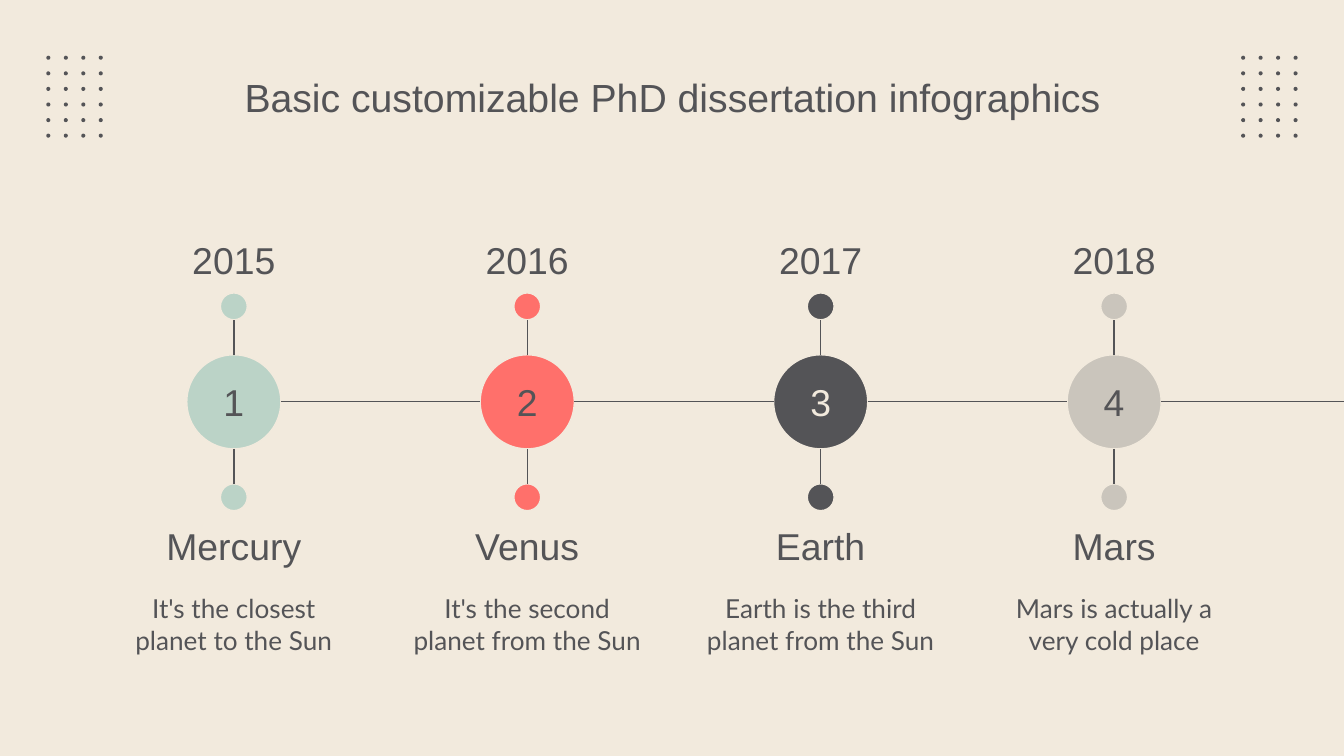
from lxml import etree
from pptx import Presentation
from pptx.dml.color import RGBColor
from pptx.enum import shapes, text
from pptx.oxml import ns
from pptx.util import Inches, Pt

COLORS = {"sand": "F2EADD", "ink": "545457", "mint": "BBD3C7",
          "coral": "FF706B", "stone": "CAC5BC"}
RGB = {name: RGBColor.from_string(code) for name, code in COLORS.items()}

STEPS = [
    ("2015", "Mercury", "It's the closest planet to the Sun", "mint", "ink"),
    ("2016", "Venus", "It's the second planet from the Sun", "coral", "ink"),
    ("2017", "Earth", "Earth is the third planet from the Sun", "ink", "sand"),
    ("2018", "Mars", "Mars is actually a very cold place", "stone", "ink"),
]


def write(shape, words, size, font="Arial", color="ink", anchor="MIDDLE"):
    frame = shape.text_frame
    frame.word_wrap = True
    frame.vertical_anchor = getattr(text.MSO_ANCHOR, anchor)
    frame.margin_left = frame.margin_right = Inches(0.1)
    frame.margin_top = frame.margin_bottom = Inches(0.1)
    para = frame.paragraphs[0]
    para.alignment = text.PP_ALIGN.CENTER
    run = para.add_run()
    run.text = words
    run.font.size = Pt(size)
    run.font.name = font
    run.font.color.rgb = RGB[color]


def disc(parent, x, y, size, color, edge=None):
    """Add a circle of the given diameter, centred on x, y."""
    dot = parent.add_shape(shapes.MSO_SHAPE.OVAL, Inches(x - size / 2),
                           Inches(y - size / 2), Inches(size), Inches(size))
    dot.shadow.inherit = False
    dot.fill.solid()
    dot.fill.fore_color.rgb = RGB[color]
    if edge:
        dot.line.color.rgb = RGB[edge]
        dot.line.width = Pt(0.75)
    else:
        dot.line.fill.background()
    return dot


deck = Presentation()
deck.slide_width = Inches(10)
deck.slide_height = Inches(10 * 9 / 16)
slide = deck.slides.add_slide(deck.slide_layouts[5])
slide.background.fill.solid()
slide.background.fill.fore_color.rgb = RGB["sand"]

# Title
title = slide.shapes.title
title.left, title.top = Inches(0.79), Inches(0.4)
title.width, title.height = Inches(8.43), Inches(0.63)
write(title, "Basic customizable PhD dissertation infographics", 21)
title.text_frame.margin_top = Inches(0.07)
title.text_frame.margin_bottom = Inches(0.06)

# Dot grids in both upper corners
for left in (0.36, 9.25):
    grid = slide.shapes.add_group_shape()
    for row in range(6):
        for col in range(4):
            disc(grid.shapes, left + 0.13 * col, 0.43 + 0.58 * row / 5, 0.03, "ink")

# Timeline steps
axis, big, small, reach = 2.99, 0.7, 0.2, 0.71
gap = 6.55 / 3
lines = []
for i, (year, planet, note, color, digit) in enumerate(STEPS):
    x = 1.74 + gap * i
    labels = [
        (planet, 3.81, 1.9, 0.5, 20, "Arial", "MIDDLE"),
        (note, 4.31, 1.9, 0.7, 14, "Lato", "TOP"),
        (year, 1.68, 1.2, 0.5, 20, "Arial", "MIDDLE"),
    ]
    for words, top, width, height, size, font, anchor in labels:
        box = slide.shapes.add_textbox(Inches(x - width / 2), Inches(top),
                                       Inches(width), Inches(height))
        write(box, words, size, font, anchor=anchor)

    write(disc(slide.shapes, x, axis, big, color, "sand"), str(i + 1), 20, color=digit)
    for side in (-1, 1):
        disc(slide.shapes, x, axis + side * reach, small, color, "sand")
        lines.append((x, axis + side * big / 2,
                      x, axis + side * (reach - small / 2)))
    end = min(x + gap - big / 2, 10)
    lines.append((x + big / 2, axis, end, axis))

# Connecting lines
for ends in lines:
    link = slide.shapes.add_connector(shapes.MSO_CONNECTOR.STRAIGHT,
                                      *[Inches(v) for v in ends])
    link.line.color.rgb = RGB["ink"]
    link.line.width = Pt(0.75)
    etree.SubElement(link._element.spPr, ns.qn("a:effectLst"))

deck.save("out.pptx")
